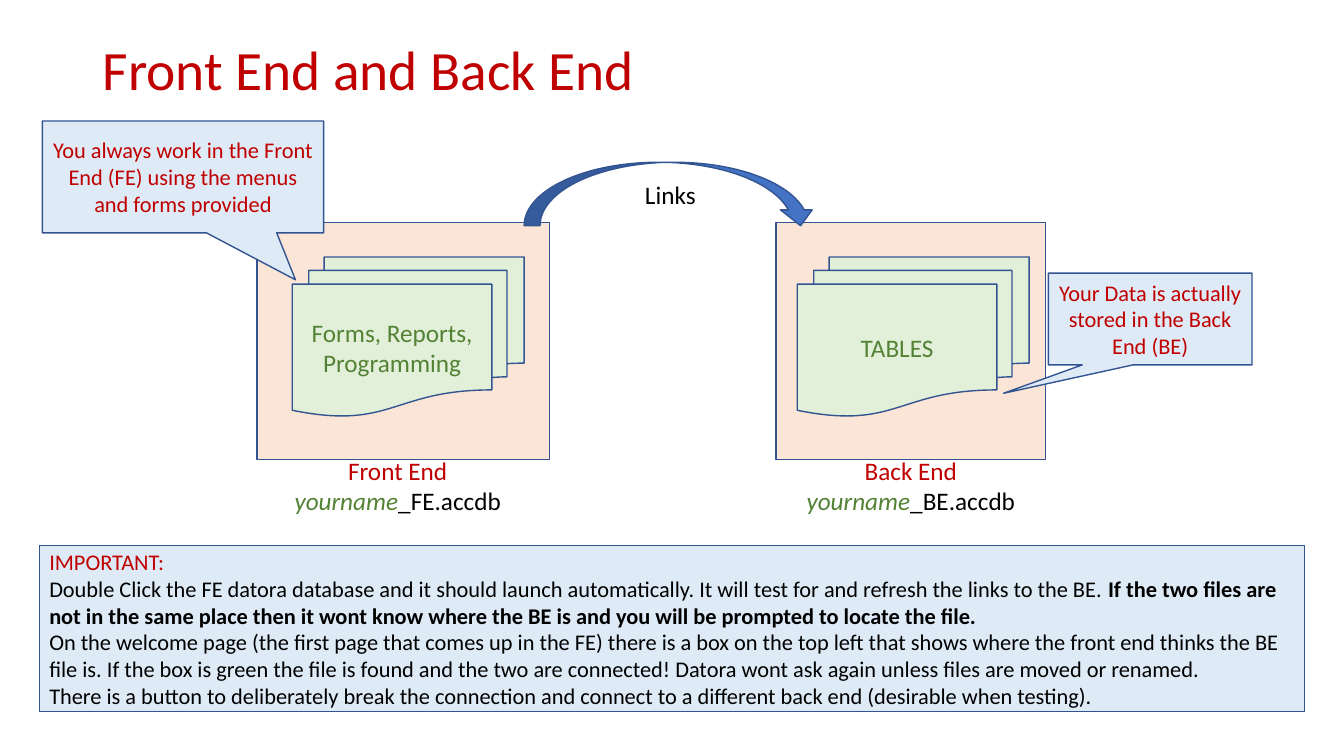
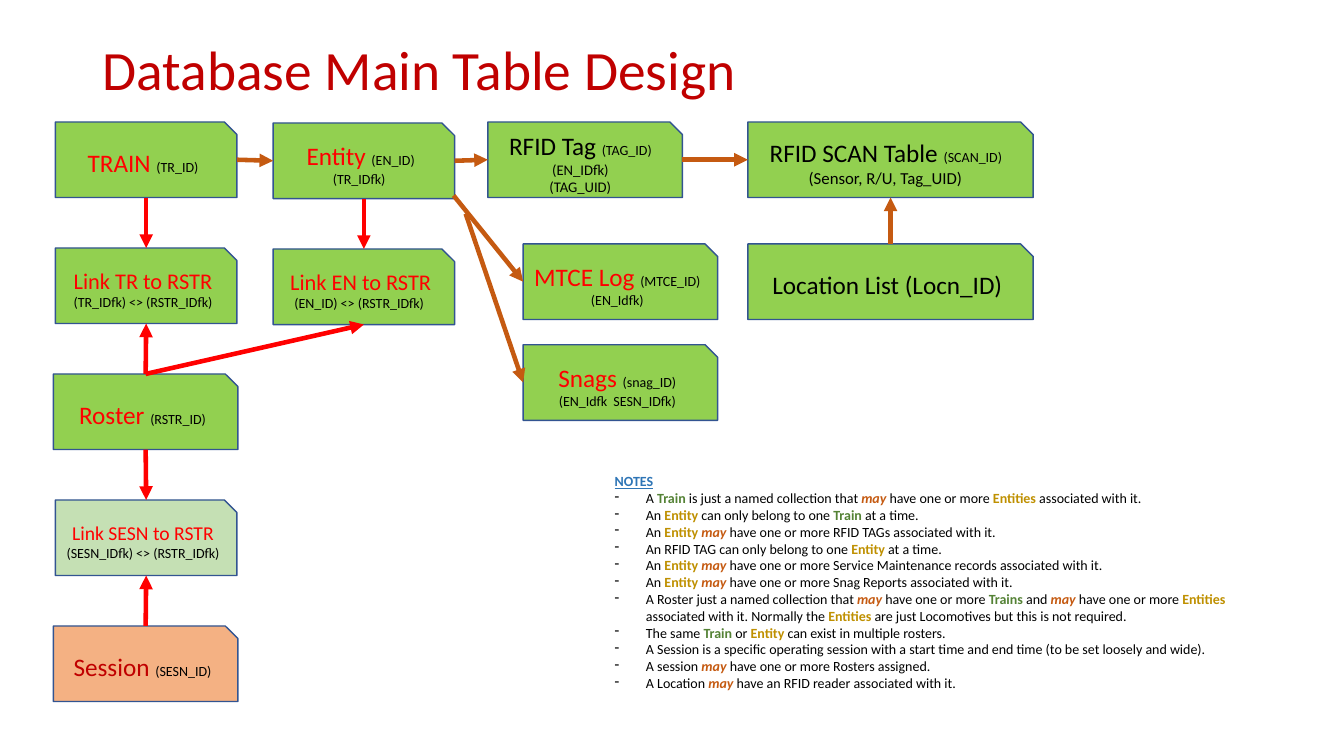
from itertools import groupby
from lxml.etree import SubElement
from pptx import Presentation
from pptx.dml.color import RGBColor
from pptx.enum.shapes import MSO_CONNECTOR, MSO_SHAPE
from pptx.enum.text import MSO_ANCHOR, MSO_AUTO_SIZE, PP_ALIGN
from pptx.oxml.ns import qn
from pptx.util import Inches, Pt

COLUMNS, ROWS = 133.33, 75
CELL = Inches(0.1)
FONT = "Calibri"

BLACK, CRIMSON, RED = "000000", "C00000", "FF0000"
OUTLINE, ARROW_BLUE, PALE_BLUE, NOTES_BLUE = "325491", "4472C4", "DEEBF7", "2E75B6"
DARK_GREEN, PALE_GREEN, LIME, SAGE = "548235", "E2F0D9", "92D050", "C5E0B4"
PEACH, ORANGE, BROWN, GOLD = "FBE5D6", "F4B183", "C55A11", "BF9000"

TOP, LEFT, BOTTOM, RIGHT = range(4)
BULLET_INDENT = 3.1

TRAIN_STYLE = {"color": DARK_GREEN, "bold": True}
ENTITY_STYLE = {"color": GOLD, "bold": True}
KEYWORDS = {
    "Train": TRAIN_STYLE,
    "Trains": TRAIN_STYLE,
    "Entity": ENTITY_STYLE,
    "Entities": ENTITY_STYLE,
    "may": {"color": BROWN, "bold": True, "italic": True},
}

NOTES = [
    "A Train is just a named collection that may have one or more Entities associated with it.",
    "An Entity can only belong to one Train at a time.",
    "An Entity may have one or more RFID TAGs associated with it.",
    "An RFID TAG can only belong to one Entity at a time.",
    "An Entity may have one or more Service Maintenance records associated with it.",
    "An Entity may have one or more Snag Reports associated with it.",
    "A Roster just a named collection that may have one or more Trains and may have one or more "
    "Entities associated with it. Normally the Entities are just Locomotives but this is not required.",
    "The same Train or Entity can exist in multiple rosters.",
    "A Session is a specific operating session with a start time and end time "
    "(to be set loosely and wide).",
    "A session may have one or more Rosters assigned.",
    "A Location may have an RFID reader associated with it.",
]


def cells(*counts):
    return [round(count * CELL) for count in counts]


def rgb(color):
    return RGBColor.from_string(color)


def run(text, size, color=BLACK, **emphasis):
    return text, size, color, emphasis


def write(frame, paragraphs, align=PP_ALIGN.CENTER, anchor=MSO_ANCHOR.MIDDLE):
    frame.word_wrap = True
    frame.vertical_anchor = anchor
    for index, runs in enumerate(paragraphs):
        paragraph = frame.add_paragraph() if index else frame.paragraphs[0]
        paragraph.alignment = align
        for text, size, color, emphasis in runs:
            piece = paragraph.add_run()
            piece.text = text
            piece.font.name = FONT
            piece.font.size = Pt(size)
            piece.font.color.rgb = rgb(color)
            for name, value in emphasis.items():
                setattr(piece.font, name, value)


def add_figure(slide, preset, place, fill, paragraphs=(), align=PP_ALIGN.CENTER, adjust=()):
    figure = slide.shapes.add_shape(preset, *cells(*place))
    figure.shadow.inherit = False
    figure.fill.solid()
    figure.fill.fore_color.rgb = rgb(fill)
    figure.line.color.rgb = rgb(OUTLINE)
    figure.line.width = Pt(1)
    for index, value in enumerate(adjust):
        figure.adjustments[index] = value
    write(figure.text_frame, paragraphs, align)
    return figure


def add_text(slide, place, paragraphs, align):
    frame = slide.shapes.add_textbox(*cells(*place)).text_frame
    write(frame, paragraphs, align, MSO_ANCHOR.TOP)
    frame.auto_size = MSO_AUTO_SIZE.SHAPE_TO_FIT_TEXT
    return frame


def add_titled_slide(deck, title):
    slide = deck.slides.add_slide(deck.slide_layouts[6])
    frame = slide.shapes.add_textbox(*cells(9.2, 4, 115, 6.3)).text_frame
    write(frame, [[run(title, 39.6, CRIMSON)]], PP_ALIGN.LEFT)
    frame.paragraphs[0].line_spacing = 0.9
    return slide


def add_end(slide, panel_left, panel_width, documents_left, caption_left, contents, name, suffix):
    add_figure(slide, MSO_SHAPE.RECTANGLE, (panel_left, 22.1, panel_width, 23.5), PEACH)
    add_figure(slide, MSO_SHAPE.FLOWCHART_MULTIDOCUMENT, (documents_left, 25.5, 23, 15.8),
               PALE_GREEN, [[run(contents, 18, DARK_GREEN)]])
    add_text(slide, (caption_left, 44.7, 27.9, 7.1), [
        [run(name, 18, CRIMSON)],
        [run("yourname", 18, DARK_GREEN, italic=True), run(suffix, 18)],
    ], PP_ALIGN.CENTER)


def add_callout(slide, place, pointer, text):
    add_figure(slide, MSO_SHAPE.RECTANGULAR_CALLOUT, place, PALE_BLUE,
               [[run(text, 16, CRIMSON)]], adjust=pointer)


def add_table_box(slide, place, name, keys="", details=(), name_size=18, name_color=RED,
                  detail_size=10, fill=LIME):
    heading = [run(name, name_size, name_color)]
    if keys:
        heading.append(run(keys, 10))
    paragraphs = [heading] + [[run(detail, detail_size)] for detail in details]
    return add_figure(slide, MSO_SHAPE.SNIP_1_RECTANGLE, (*place, 7.5), fill, paragraphs)


def add_arrow(slide, color, start, end, end_side, start_side=None):
    arrow = slide.shapes.add_connector(MSO_CONNECTOR.STRAIGHT, 0, 0, 0, 0)
    if start_side is None:
        arrow.begin_x, arrow.begin_y = cells(*start)
    else:
        arrow.begin_connect(start, start_side)
    arrow.end_connect(end, end_side)
    arrow.line.color.rgb = rgb(color)
    arrow.line.width = Pt(3.25)
    properties = arrow.element.spPr
    SubElement(properties.find(qn("a:ln")), qn("a:tailEnd"), type="triangle")
    SubElement(properties, qn("a:effectLst"))


def note_runs(note):
    words = [word + " " for word in note.split(" ")]
    words[-1] = words[-1].rstrip()
    for keyword, group in groupby(words, lambda word: word.strip() if word.strip() in KEYWORDS else ""):
        yield run("".join(group), 10, **KEYWORDS.get(keyword, {}))


def add_notes(slide, place):
    heading = [run("NOTES", 10, NOTES_BLUE, bold=True, underline=True)]
    frame = add_text(slide, place, [heading] + [note_runs(note) for note in NOTES], PP_ALIGN.LEFT)
    indent = cells(BULLET_INDENT)[0]
    for paragraph in frame.paragraphs[1:]:
        properties = paragraph._p.get_or_add_pPr()
        properties.set("marL", str(indent))
        properties.set("indent", str(-indent))
        SubElement(properties, qn("a:buFontTx"))
        SubElement(properties, qn("a:buChar"), char="-")


def build_ends(deck):
    slide = add_titled_slide(deck, "Front End and Back End")
    add_end(slide, 77, 26.7, 79.1, 76.4, "TABLES", "Back End", "_BE.accdb")
    add_end(slide, 25.5, 29, 29, 25.5, "Forms, Reports, Programming", "Front End", "_FE.accdb")
    add_figure(slide, MSO_SHAPE.CURVED_DOWN_ARROW, (52, 16.1, 29, 6.3), ARROW_BLUE,
               [[run("Links", 18)]])
    add_figure(slide, MSO_SHAPE.RECTANGLE, (3.9, 54.1, 125.5, 16.5), PALE_BLUE, [
        [run("IMPORTANT:", 16, CRIMSON)],
        [run("Double Click the FE datora database and it should launch automatically. "
             "It will test for and refresh the links to the BE. ", 16),
         run("If the two files are not in the same place then it wont know where the BE is "
             "and you will be prompted to locate the file.", 16, bold=True)],
        [run("On the welcome page (the first page that comes up in the FE) there is a box on the "
             "top left that shows where the front end thinks the BE file is. If the box is green "
             "the file is found and the two are connected! Datora wont ask again unless files are "
             "moved or renamed.", 16)],
        [run("There is a button to deliberately break the connection and connect to a different "
             "back end (desirable when testing).", 16)],
    ], PP_ALIGN.LEFT)
    add_callout(slide, (4.2, 12, 27.9, 11.1), (0.4, 0.92),
                "You always work in the Front End (FE) using the menus and forms provided")
    add_callout(slide, (104, 27.1, 20.2, 9.1), (-0.72, 0.81),
                "Your Data is actually stored in the Back End (BE)")


def build_tables(deck):
    slide = add_titled_slide(deck, "Database Main Table Design")
    train_row, train_link_row, roster_row, session_link_row, session_row = (
        12.1 + 12.5 * level for level in range(5))
    entity_row, entity_link_row = train_row + 0.1, train_link_row + 0.1
    log_row, snag_row = 24.2, 34.2

    train = add_table_box(slide, (5.5, train_row, 18), "TRAIN ", "(TR_ID)")
    entity = add_table_box(slide, (27.1, entity_row, 18), "Entity ", "(EN_ID)", ["(TR_IDfk) "])
    tag = add_table_box(slide, (48.4, train_row, 19.3), "RFID Tag ", "(TAG_ID) ",
                        ["(EN_IDfk) ", "(TAG_UID) "], name_color=BLACK, detail_size=10.5)
    scan = add_table_box(slide, (74.2, train_row, 28.3), "RFID SCAN Table ", "(SCAN_ID) ",
                         ["(Sensor, R/U, Tag_UID) "], name_color=BLACK, detail_size=12)
    location = add_table_box(slide, (74.2, log_row, 28.3), "Location List (Locn_ID)",
                             name_color=BLACK)
    log = add_table_box(slide, (51.9, log_row, 19.3), "MTCE Log ", "(MTCE_ID)", ["(EN_Idfk)"])
    snags = add_table_box(slide, (51.9, snag_row, 19.3), "Snags ", "(snag_ID)",
                          ["(EN_Idfk  SESN_IDfk)"])
    train_link = add_table_box(slide, (5.5, train_link_row, 18), "Link TR to RSTR ",
                               "(TR_IDfk) <> (RSTR_IDfk)", name_size=16)
    entity_link = add_table_box(slide, (27.1, entity_link_row, 18), "Link EN to RSTR ",
                                "(EN_ID) <> (RSTR_IDfk) ", name_size=16)
    roster = add_table_box(slide, (5.3, roster_row, 18.3), "Roster ", "(RSTR_ID)")
    session_link = add_table_box(slide, (5.5, session_link_row, 18), "Link SESN to RSTR ",
                                 "(SESN_IDfk) <> (RSTR_IDfk)", name_size=14, fill=SAGE)
    session = add_table_box(slide, (5.3, session_row, 18.3), "Session ", "(SESN_ID)",
                            name_color=CRIMSON, fill=ORANGE)

    for start, end in ((train, entity), (entity, tag), (tag, scan)):
        add_arrow(slide, BROWN, start, end, LEFT, RIGHT)
    add_arrow(slide, BROWN, location, scan, BOTTOM, TOP)
    for start, end in (((45, 19.4), log), ((46.2, 21.2), snags)):
        add_arrow(slide, BROWN, start, end, LEFT)
    for start, end in ((train, train_link), (entity, entity_link), (roster, session_link)):
        add_arrow(slide, RED, start, end, TOP, BOTTOM)
    for start, end in ((roster, train_link), (roster, entity_link), (session, session_link)):
        add_arrow(slide, RED, start, end, BOTTOM, TOP)
    add_notes(slide, (60, 46.4, 62.7, 22.9))


def main():
    deck = Presentation()
    deck.slide_width, deck.slide_height = cells(COLUMNS, ROWS)
    build_ends(deck)
    build_tables(deck)
    deck.save("out.pptx")


if __name__ == "__main__":
    main()
